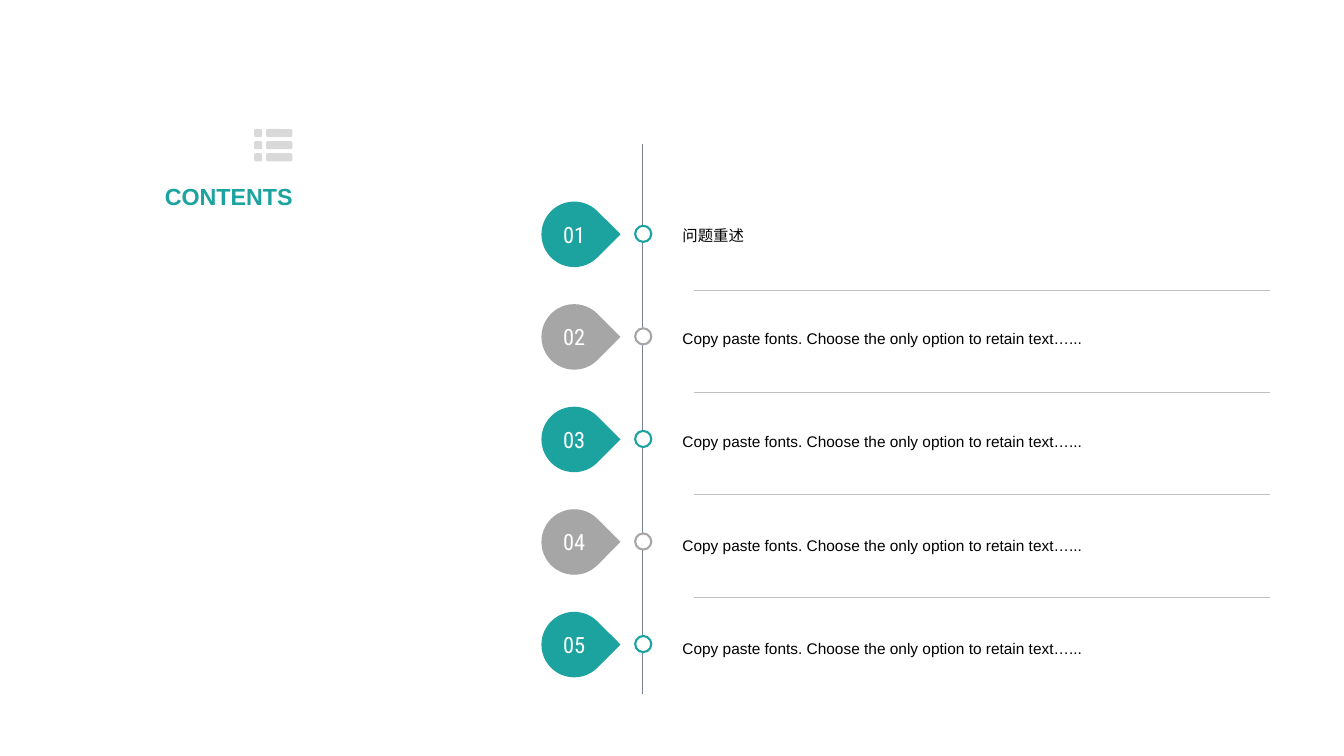
from lxml import etree
from pptx import Presentation
from pptx.dml.color import RGBColor
from pptx.enum.shapes import MSO_CONNECTOR, MSO_SHAPE
from pptx.enum.text import MSO_ANCHOR, MSO_AUTO_SIZE, PP_ALIGN
from pptx.oxml.ns import qn
from pptx.util import Inches, Pt

ELLIPSE = MSO_SHAPE.OVAL
TEARDROP = MSO_SHAPE.TEAR
ROUNDED = MSO_SHAPE.ROUNDED_RECTANGLE
STRAIGHT = MSO_CONNECTOR.STRAIGHT
MIDDLE = MSO_ANCHOR.MIDDLE
NO_AUTOFIT = MSO_AUTO_SIZE.NONE
LEFT, CENTER, RIGHT = PP_ALIGN.LEFT, PP_ALIGN.CENTER, PP_ALIGN.RIGHT

TEAL, GRAY, WHITE, BLACK = "1CA39F", "A6A6A6", "FFFFFF", "000000"
ICON_GRAY, AXIS_GRAY, RULE_GRAY = "D9D9D9", "768394", "BFBFBF"

FILLER = "Copy paste fonts. Choose the only option to retain text…..."
ENTRIES = ["问题重述", FILLER, FILLER, FILLER, FILLER]


def color(hex_string):
    return RGBColor.from_string(hex_string)


def spread(first, last, count):
    """Return count evenly spaced positions from first to last."""
    return [first + (last - first) * index / (count - 1) for index in range(count)]


def add_filled(slide, kind, left, top, width, height, fill, outline=None):
    shape = slide.shapes.add_shape(
        kind, Inches(left), Inches(top), Inches(width), Inches(height))
    shape.shadow.inherit = False
    shape.fill.solid()
    shape.fill.fore_color.rgb = color(fill)
    if outline:
        shape.line.color.rgb = color(outline)
        shape.line.width = Pt(1.5)
    else:
        shape.line.fill.background()
    return shape


def add_line(slide, start, end, line_color, width):
    connector = slide.shapes.add_connector(
        STRAIGHT, *(Inches(value) for value in (*start, *end)))
    connector.line.color.rgb = color(line_color)
    connector.line.width = Pt(width)
    etree.SubElement(connector._element.spPr, qn("a:effectLst"))


def write_text(shape, text, size, font_name, font_color, alignment, wrap=True):
    frame = shape.text_frame
    frame.text = text
    frame.word_wrap = wrap
    frame.auto_size = NO_AUTOFIT
    frame.vertical_anchor = MIDDLE
    paragraph = frame.paragraphs[0]
    paragraph.alignment = alignment
    paragraph.font.size = Pt(size)
    paragraph.font.name = font_name
    paragraph.font.color.rgb = color(font_color)
    return paragraph


def add_title(slide):
    title = slide.shapes.title
    title.left, title.top = Inches(0.73), Inches(1.77)
    title.width, title.height = Inches(2.27), Inches(0.35)
    paragraph = write_text(title, "CONTENTS", 16.6, "Arial", TEAL, RIGHT)
    paragraph.font.bold = True


def add_list_icon(slide):
    for top in spread(1.28, 1.52, 3):
        for left, width in ((2.52, 0.08), (2.64, 0.26)):
            bar = add_filled(slide, ROUNDED, left, top, width, 0.08, ICON_GRAY)
            bar.adjustments[0] = 0.2


def add_marker(slide, number, center, fill):
    """Add a numbered drop pointing at its ring on the timeline."""
    add_filled(slide, ELLIPSE, 6.3, center - 0.08, 0.16, 0.16, WHITE, fill)
    drop = add_filled(slide, TEARDROP, 5.37, center - 0.32, 0.65, 0.65, fill)
    drop.rotation = 44.9
    disc = add_filled(slide, ELLIPSE, 5.38, center - 0.31, 0.63, 0.63, fill)
    write_text(disc, f"{number:02}", 16, "Roboto Condensed", WHITE, CENTER, wrap=False)


def add_entry(slide, text, top):
    box = slide.shapes.add_textbox(
        Inches(6.67), Inches(top), Inches(5.93), Inches(0.47))
    paragraph = write_text(box, text, 11, "Arial", BLACK, LEFT)
    paragraph.line_spacing = 1.2


def main():
    presentation = Presentation()
    presentation.slide_width = Inches(13.33)
    presentation.slide_height = Inches(7.5)
    slide = presentation.slides.add_slide(presentation.slide_layouts[5])

    add_title(slide)
    add_list_icon(slide)
    add_line(slide, (6.37, 1.43), (6.37, 6.89), AXIS_GRAY, 0.5)

    count = len(ENTRIES)
    for index, center in enumerate(spread(2.32, 6.39, count)):
        add_marker(slide, index + 1, center, GRAY if index % 2 else TEAL)
    for text, top in zip(ENTRIES, spread(2.08, 6.18, count)):
        add_entry(slide, text, top)
    for height in spread(2.88, 5.92, count - 1):
        add_line(slide, (6.88, height), (12.6, height), RULE_GRAY, 0.25)

    presentation.save("out.pptx")


if __name__ == "__main__":
    main()
